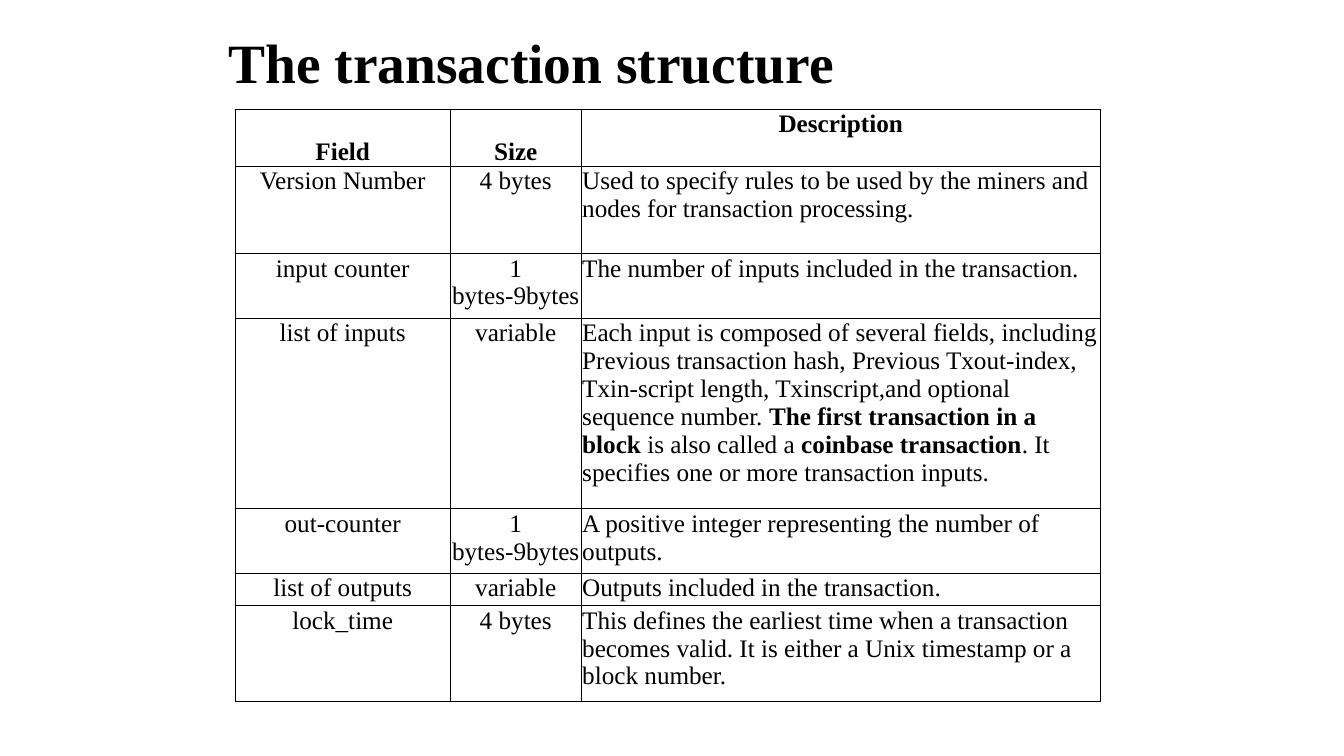
from dataclasses import dataclass

from lxml.etree import SubElement
from pptx import Presentation
from pptx.dml.color import RGBColor
from pptx.enum.text import MSO_ANCHOR, PP_ALIGN
from pptx.oxml.ns import qn
from pptx.util import Pt

FONT = "Times New Roman"
BLACK = "000000"
COLUMN_WIDTHS = (153.6, 93.6, 370.8)


@dataclass
class Span:
    text: str
    bold: bool = False


@dataclass
class Row:
    height: float
    field: str
    size: str
    description: list[Span]
    header: bool = False


ROWS = [
    Row(40.7, "Field", "Size", [Span("Description", True)], header=True),
    Row(62.5, "Version Number", "4 bytes", [Span(
        "Used to specify rules to be used by the miners and nodes for transaction processing.")]),
    Row(46.3, "input counter", "1 bytes-9bytes", [Span(
        "The number of inputs included in the transaction.")]),
    Row(135.9, "list of inputs", "variable", [
        Span("Each input is composed of several fields, including Previous transaction hash, "
             "Previous Txout-index, Txin-script length, Txinscript,and optional sequence number. "),
        Span("The first transaction in a block ", True),
        Span("is also called a"),
        Span(" coinbase transaction", True),
        Span(". It specifies one or more transaction inputs."),
    ]),
    Row(46.3, "out-counter", "1 bytes-9bytes", [Span(
        "A positive integer representing the number of outputs.")]),
    Row(23, "list of outputs", "variable", [Span("Outputs included in the transaction.")]),
    Row(68.4, "lock_time", "4 bytes", [Span(
        "This defines the earliest time when a transaction becomes valid. "
        "It is either a Unix timestamp or a block number.")]),
]


def color(value: str) -> RGBColor:
    return RGBColor.from_string(value)


def style(font, size: float, bold: bool) -> None:
    font.name = FONT
    font.size = Pt(size)
    font.bold = bold
    font.color.rgb = color(BLACK)


def add_borders(cell) -> None:
    properties = cell._tc.get_or_add_tcPr()
    for position, side in enumerate(("a:lnL", "a:lnR", "a:lnT", "a:lnB")):
        line = properties.makeelement(qn(side), {"w": str(Pt(0.5))})
        fill = SubElement(line, qn("a:solidFill"))
        SubElement(fill, qn("a:srgbClr"), val=BLACK)
        properties.insert(position, line)


def fill_cell(cell, spans: list[Span], centered: bool, anchor: MSO_ANCHOR) -> None:
    cell.margin_left = cell.margin_right = cell.margin_top = Pt(0.7)
    cell.margin_bottom = Pt(0)
    cell.vertical_anchor = anchor
    cell.fill.background()
    add_borders(cell)
    para = cell.text_frame.paragraphs[0]
    para.alignment = PP_ALIGN.CENTER if centered else PP_ALIGN.LEFT
    for span in spans:
        run = para.add_run()
        run.text = span.text
        style(run.font, 18, span.bold)


def add_title(page, text: str) -> None:
    box = page.shapes.add_textbox(Pt(156.2), Pt(21.6), Pt(648), Pt(50.4))
    frame = box.text_frame
    frame.word_wrap = True
    frame.vertical_anchor = MSO_ANCHOR.MIDDLE
    frame.text = text
    para = frame.paragraphs[0]
    para.line_spacing = 0.9
    style(para.runs[0].font, 39.6, True)


def add_structure_table(page) -> None:
    frame = page.shapes.add_table(
        len(ROWS), len(COLUMN_WIDTHS), Pt(168), Pt(78),
        Pt(sum(COLUMN_WIDTHS)), Pt(sum(row.height for row in ROWS)))
    table = frame.table
    table.first_row = False
    table.horz_banding = False
    for column, width in zip(table.columns, COLUMN_WIDTHS):
        column.width = Pt(width)
    for index, row in enumerate(ROWS):
        table.rows[index].height = Pt(row.height)
        # Field and size headings sit at the bottom of the header row
        anchor = MSO_ANCHOR.BOTTOM if row.header else MSO_ANCHOR.TOP
        for column, text in enumerate((row.field, row.size)):
            fill_cell(table.cell(index, column), [Span(text, row.header)], True, anchor)
        fill_cell(table.cell(index, 2), row.description, row.header, MSO_ANCHOR.TOP)


def main() -> None:
    deck = Presentation()
    deck.slide_width, deck.slide_height = Pt(960), Pt(540)
    page = deck.slides.add_slide(deck.slide_layouts[6])
    # Title
    add_title(page, "The transaction structure")
    # Table of transaction fields
    add_structure_table(page)
    deck.save("out.pptx")


if __name__ == "__main__":
    main()
